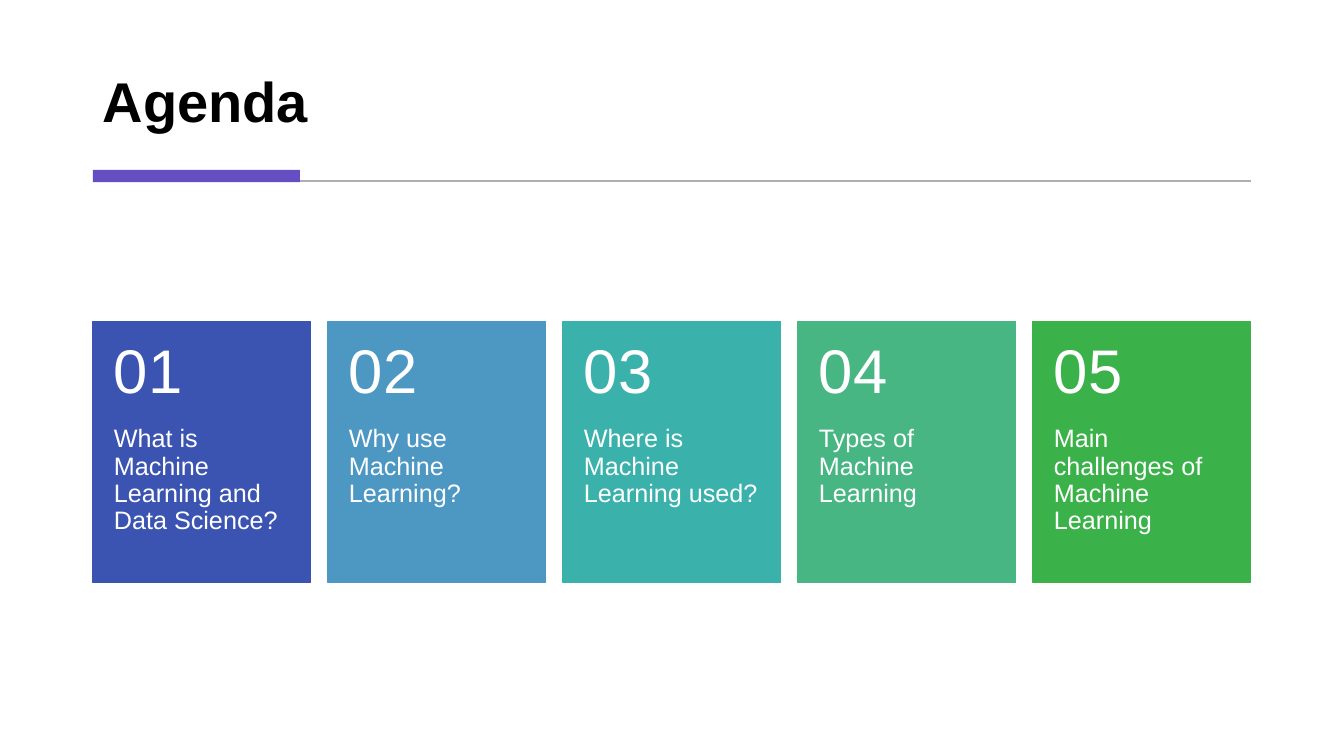
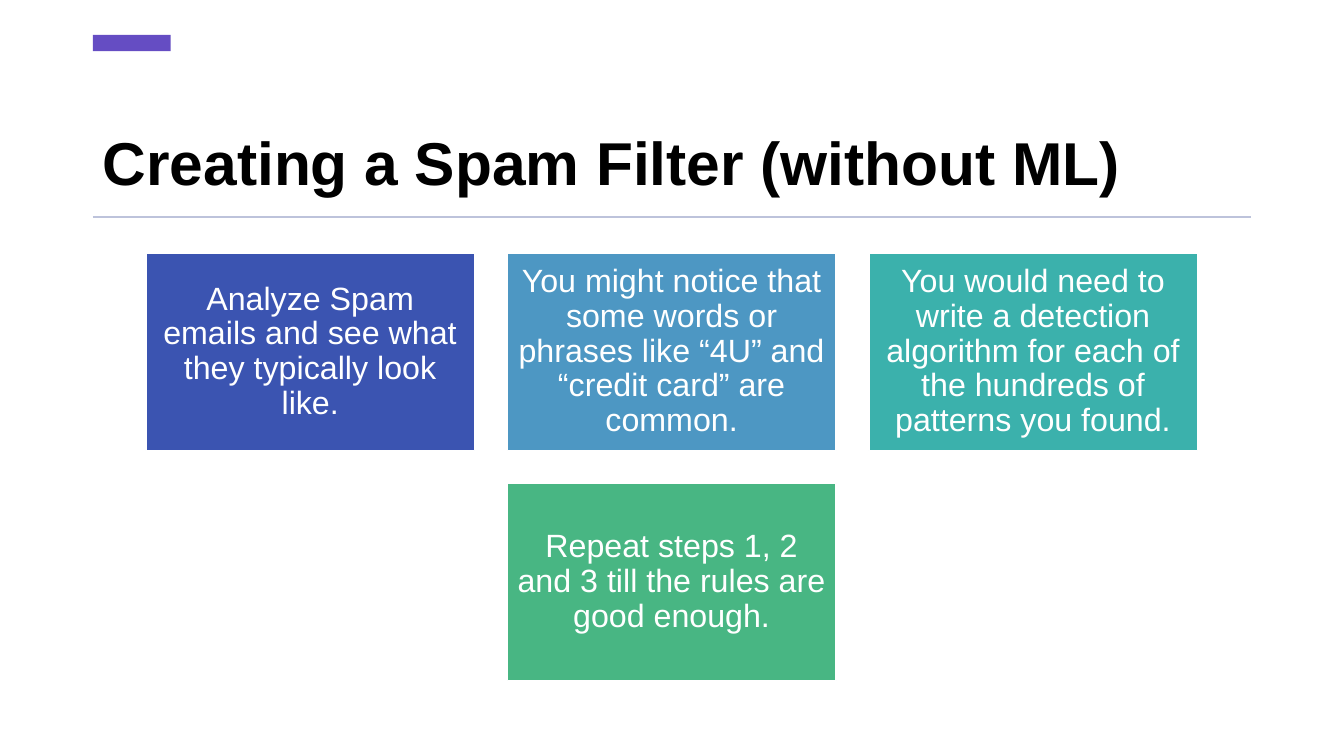
from lxml import etree
from pptx import Presentation
from pptx.dml.color import RGBColor
from pptx.enum.shapes import MSO_CONNECTOR, MSO_SHAPE
from pptx.enum.text import MSO_ANCHOR, PP_ALIGN
from pptx.oxml.ns import qn
from pptx.util import Cm, Pt

RECT = MSO_SHAPE.RECTANGLE
STRAIGHT = MSO_CONNECTOR.STRAIGHT
TOP, MIDDLE, BOTTOM = MSO_ANCHOR.TOP, MSO_ANCHOR.MIDDLE, MSO_ANCHOR.BOTTOM
LEFT, CENTER = PP_ALIGN.LEFT, PP_ALIGN.CENTER

FONT = "Arial"
COLORS = {
    "title": "000000",
    "white": "FFFFFF",
    "accent": "654DC3",
    "gray_rule": "AFAFAF",
    "blue_rule": "BDC3DB",
    "indigo": "3B54B1",
    "blue": "4D97C3",
    "teal": "3BB1AC",
    "mint": "48B683",
    "green": "3BB149",
}
SERIES = ["indigo", "blue", "teal", "mint", "green"]
MARGIN, CONTENT_W = 2.34, 29.18

AGENDA = [
    "What is Machine Learning and Data Science?",
    "Why use Machine Learning?",
    "Where is Machine Learning used?",
    "Types of Machine Learning",
    "Main challenges of Machine Learning",
]
STEPS = [
    "Analyze Spam emails and see what they typically look like.",
    "You might notice that some words or phrases like “4U” and “credit card” are common.",
    "You would need to write a detection algorithm for each of the hundreds of patterns you found.",
    "Repeat steps 1, 2 and 3 till the rules are good enough.",
]


def rgb(name):
    return RGBColor.from_string(COLORS[name])


def set_text(shape, text, size, color="white", bold=False, align=LEFT,
             anchor=TOP, insets=(0.25, 0.13, 0.25, 0.13)):
    tf = shape.text_frame
    tf.text = text
    tf.word_wrap = True
    tf.vertical_anchor = anchor
    tf.margin_left, tf.margin_top, tf.margin_right, tf.margin_bottom = map(Cm, insets)
    p = tf.paragraphs[0]
    p.alignment = align
    p.line_spacing = 0.9
    font = p.runs[0].font
    font.name, font.size, font.bold = FONT, Pt(size), bold
    font.color.rgb = rgb(color)


def add_box(s, x, y, w, h, fill, line=None):
    box = s.shapes.add_shape(RECT, Cm(x), Cm(y), Cm(w), Cm(h))
    box.shadow.inherit = False
    box.fill.solid()
    box.fill.fore_color.rgb = rgb(fill)
    if line:
        box.line.color.rgb = rgb(line)
        box.line.width = Pt(1)
    else:
        box.line.fill.background()
    return box


def add_label(s, x, y, w, h, text, size, **style):
    label = s.shapes.add_textbox(Cm(x), Cm(y), Cm(w), Cm(h))
    set_text(label, text, size, **style)


def add_title(s, text, y, h, size):
    add_label(s, MARGIN, y, CONTENT_W, h, text, size,
              color="title", bold=True, anchor=BOTTOM)


def add_rule(s, y, color):
    rule = s.shapes.add_connector(STRAIGHT, Cm(MARGIN), Cm(y),
                                  Cm(MARGIN + CONTENT_W), Cm(y))
    rule.line.color.rgb = rgb(color)
    rule.line.width = Pt(1.5)
    etree.SubElement(rule._element.spPr, qn("a:effectLst"))


def add_agenda_cards(s):
    top, w, h, number_h = 8.1, 5.49, 6.58, 2.64
    pitch = (CONTENT_W - w) / (len(AGENDA) - 1)
    for i, (topic, color) in enumerate(zip(AGENDA, SERIES)):
        x = MARGIN + i * pitch
        card = add_box(s, x, top, w, h, color, color)
        set_text(card, topic, 18, insets=(0.53, number_h, 0.53, 0.91))
        add_label(s, x, top, w, number_h, f"{i + 1:02}", 44,
                  anchor=MIDDLE, insets=(0.53, 0.46, 0.53, 0.46))


def add_step_boxes(s):
    top, w, h, gap, columns = 6.38, 8.28, 4.97, 0.83, 3
    for i, (step, color) in enumerate(zip(STEPS, SERIES)):
        row, column = divmod(i, columns)
        in_row = min(columns, len(STEPS) - row * columns)
        row_w = in_row * (w + gap) - gap
        x = MARGIN + (CONTENT_W - row_w) / 2 + column * (w + gap)
        box = add_box(s, x, top + row * (h + gap), w, h, color, "white")
        set_text(box, step, 23, align=CENTER, anchor=MIDDLE, insets=(0.25,) * 4)


def build_agenda(s):
    add_title(s, "Agenda", 0.71, 2.82, 40)
    add_rule(s, 4.56, "gray_rule")
    add_box(s, MARGIN, 4.28, 5.22, 0.31, "accent")
    add_agenda_cards(s)


def build_spam_filter(s):
    add_title(s, "Creating a Spam Filter (without ML)", 1.9, 3.23, 43.2)
    add_box(s, MARGIN, 0.88, 1.96, 0.41, "accent")
    add_rule(s, 5.46, "blue_rule")
    add_step_boxes(s)


def main():
    prs = Presentation()
    prs.slide_width, prs.slide_height = Cm(33.87), Cm(19.05)
    blank = prs.slide_layouts[6]
    for build in (build_agenda, build_spam_filter):
        build(prs.slides.add_slide(blank))
    prs.save("out.pptx")


if __name__ == "__main__":
    main()
